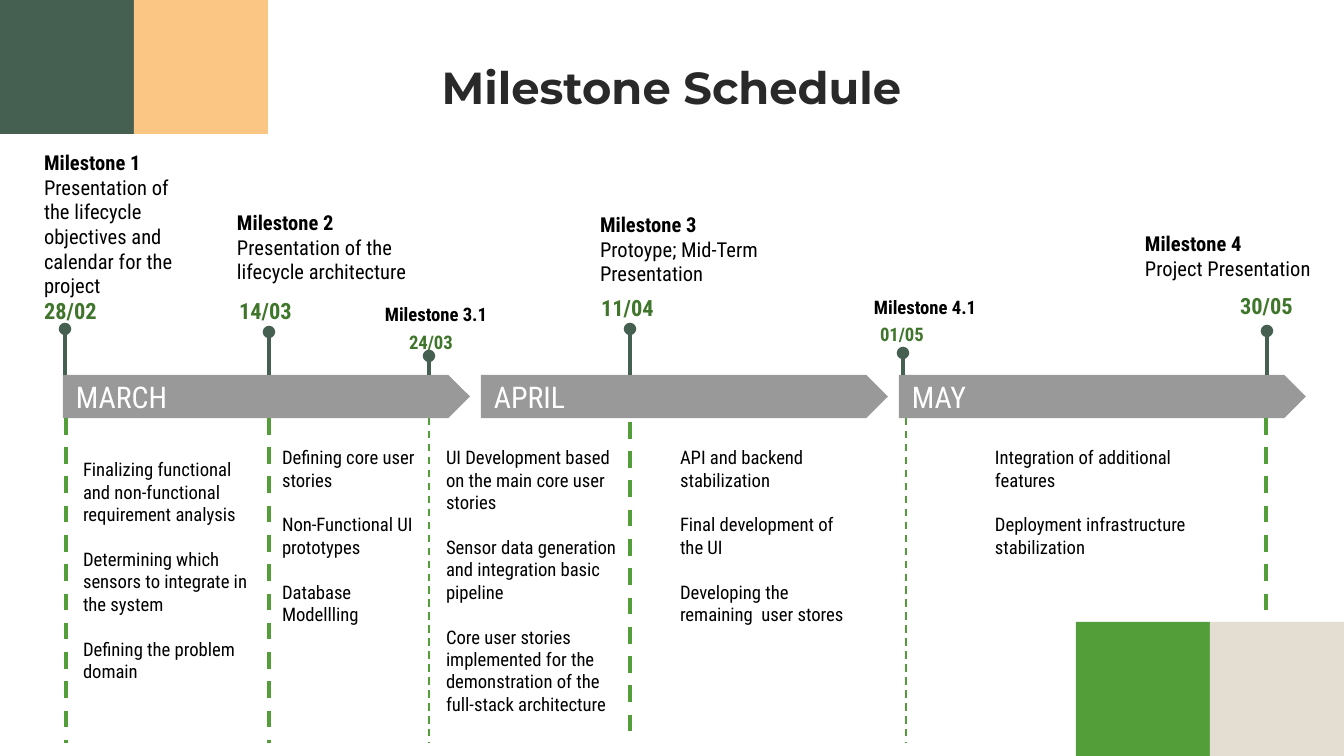
from dataclasses import dataclass
from typing import Optional

from lxml.etree import SubElement
from pptx import Presentation
from pptx.dml.color import RGBColor
from pptx.enum.dml import MSO_LINE
from pptx.enum.shapes import MSO_CONNECTOR, MSO_SHAPE
from pptx.enum.text import MSO_ANCHOR, PP_ALIGN
from pptx.oxml.ns import qn
from pptx.util import Emu, Inches, Pt

PAGE_WIDTH, PAGE_HEIGHT = 1344, 756
SCALE = Inches(10) / PAGE_WIDTH

DARK_GREEN = RGBColor(0x45, 0x5F, 0x51)
GREEN = RGBColor(0x54, 0x9E, 0x39)
DATE_GREEN = RGBColor(0x3F, 0x76, 0x2B)
ORANGE = RGBColor(0xFB, 0xC5, 0x83)
BEIGE = RGBColor(0xE3, 0xDE, 0xD1)
GRAY = RGBColor(0x99, 0x99, 0x99)
CHARCOAL = RGBColor(0x2A, 0x29, 0x29)
BLACK = RGBColor(0, 0, 0)
WHITE = RGBColor(0xFF, 0xFF, 0xFF)

TITLE_FONT = "Montserrat"
BODY_FONT = "Roboto Condensed"
SQUARE = 134
INSET = 13
BAR_TOP, BAR_WIDTH, BAR_HEIGHT = 375, 407, 43
BAR_LEFT, BAR_PITCH = 63, 418


@dataclass
class Milestone:
    name: str
    description: Optional[str]
    left: int
    top: int
    width: int
    date: str
    date_left: int
    date_top: int
    stem_x: int
    stem_top: int
    guide_x: int
    guide_top: int = 418
    guide_bottom: int = 743

    @property
    def is_major(self) -> bool:
        return self.description is not None


@dataclass
class TaskList:
    left: int
    top: int
    width: int
    height: int
    tasks: list[str]


SQUARES = [
    (0, 0, DARK_GREEN),
    (SQUARE, 0, ORANGE),
    (PAGE_WIDTH - 2 * SQUARE, PAGE_HEIGHT - SQUARE, GREEN),
    (PAGE_WIDTH - SQUARE, PAGE_HEIGHT - SQUARE, BEIGE),
]

MILESTONES = [
    Milestone("Milestone 1",
              "Presentation of the lifecycle objectives and calendar for the project",
              31, 150, 179, "28/02", 31, 297, 65, 329, 66),
    Milestone("Milestone 2", "Presentation of the lifecycle architecture",
              224, 210, 204, "14/03", 226, 297, 269, 332, 269),
    Milestone("Milestone 3.1", None,
              372, 303, 133, "24/03", 396, 331, 429, 356, 429),
    Milestone("Milestone 3", "Protoype; Mid-Term Presentation",
              587, 212, 270, "11/04", 588, 294, 630, 329, 630, guide_top=422),
    Milestone("Milestone 4.1", None,
              861, 296, 133, "01/05", 867, 323, 903, 353, 906),
    Milestone("Milestone 4", "Project Presentation",
              1132, 231, 210, "30/05", 1227, 292, 1267, 331, 1266, guide_bottom=618),
]

# A line break inside a task starts a new line without extra spacing.
TASK_LISTS = [
    TaskList(70, 458, 204, 224, [
        "Finalizing functional and non-functional requirement analysis",
        "Determining which sensors to integrate in the system",
        "Defining the problem domain"]),
    TaskList(269, 446, 204, 180, [
        "Defining core user stories",
        "Non-Functional UI prototypes",
        "Database\vModellling"]),
    TaskList(433, 446, 204, 270, [
        "UI Development based on the main core user stories",
        "Sensor data generation and integration basic pipeline",
        "Core user stories implemented for the demonstration of the full-stack architecture"]),
    TaskList(667, 446, 204, 180, [
        "API and backend stabilization",
        "Final development of the UI",
        "Developing the remaining  user stores"]),
    TaskList(982, 446, 242, 112, [
        "Integration of additional features",
        "Deployment infrastructure stabilization"]),
]


def px(value: int) -> Emu:
    return Emu(round(value * SCALE))


def style(paragraph, size: int, color: RGBColor, bold: bool = False,
          font: str = BODY_FONT) -> None:
    for span in paragraph.runs:
        span.font.name = font
        span.font.size = Pt(size)
        span.font.bold = bold
        span.font.color.rgb = color


def add_block(page, kind, left: int, top: int, width: int, height: int, color: RGBColor):
    block = page.shapes.add_shape(kind, px(left), px(top), px(width), px(height))
    block.shadow.inherit = False
    block.fill.solid()
    block.fill.fore_color.rgb = color
    block.line.fill.background()
    return block


def add_text(page, left: int, top: int, width: int, height: int, lines: list[str],
             size: int, color: RGBColor = BLACK, bold: bool = False, gap: int = 0):
    """Add a top-anchored box with one paragraph per line, gap points apart."""
    box = page.shapes.add_textbox(px(left), px(top), px(width), px(height))
    frame = box.text_frame
    frame.word_wrap = True
    frame.vertical_anchor = MSO_ANCHOR.TOP
    frame.margin_left = frame.margin_right = px(INSET)
    frame.margin_top = frame.margin_bottom = 0
    frame.text = "\n".join(lines)
    for index, paragraph in enumerate(frame.paragraphs):
        if index and gap:
            paragraph.space_before = Pt(gap)
        style(paragraph, size, color, bold)
    return box


def add_line(page, x: int, start: int, end: int, color: RGBColor, weight: float):
    line = page.shapes.add_connector(MSO_CONNECTOR.STRAIGHT, px(x), px(start), px(x), px(end))
    line.line.color.rgb = color
    line.line.width = Pt(weight)
    SubElement(line.element.spPr, qn("a:effectLst"))
    return line


def add_title(page, text: str) -> None:
    title = page.shapes.title
    title.left, title.top, title.width, title.height = px(329), px(44), px(685), px(85)
    title.text_frame.text = text
    title.text_frame.vertical_anchor = MSO_ANCHOR.MIDDLE
    paragraph = title.text_frame.paragraphs[0]
    paragraph.alignment = PP_ALIGN.CENTER
    style(paragraph, 24, CHARCOAL, True, TITLE_FONT)


def add_month(page, index: int, name: str) -> None:
    bar = add_block(page, MSO_SHAPE.PENTAGON, BAR_LEFT + index * BAR_PITCH, BAR_TOP,
                    BAR_WIDTH, BAR_HEIGHT, GRAY)
    frame = bar.text_frame
    frame.text = name
    frame.margin_left = px(INSET)
    frame.margin_top = frame.margin_bottom = 0
    frame.vertical_anchor = MSO_ANCHOR.MIDDLE
    frame.paragraphs[0].alignment = PP_ALIGN.LEFT
    style(frame.paragraphs[0], 16, WHITE)


def add_milestone(page, item: Milestone) -> None:
    lines = [item.name, item.description] if item.is_major else [item.name]
    label = add_text(page, item.left, item.top, item.width, item.date_top - item.top,
                     lines, 11 if item.is_major else 10)
    label.text_frame.paragraphs[0].runs[0].font.bold = True
    add_text(page, item.date_left, item.date_top, 86, 27 if item.is_major else 22,
             [item.date], 12 if item.is_major else 10, DATE_GREEN, True)

    stem = add_line(page, item.stem_x, BAR_TOP, item.stem_top, DARK_GREEN, 2.25)
    SubElement(stem.line._get_or_add_ln(), qn("a:tailEnd"), type="oval")
    guide = add_line(page, item.guide_x, item.guide_top, item.guide_bottom, GREEN,
                     2.25 if item.is_major else 1)
    guide.line.dash_style = MSO_LINE.DASH


def main() -> None:
    deck = Presentation()
    deck.slide_width, deck.slide_height = px(PAGE_WIDTH), px(PAGE_HEIGHT)
    page = deck.slides.add_slide(deck.slide_layouts[5])
    for left, top, color in SQUARES:
        add_block(page, MSO_SHAPE.RECTANGLE, left, top, SQUARE, SQUARE, color)
    add_title(page, "Milestone Schedule")
    for index, name in enumerate(["MARCH", "APRIL", "MAY"]):
        add_month(page, index, name)
    for item in MILESTONES:
        add_milestone(page, item)
    for group in TASK_LISTS:
        add_text(page, group.left, group.top, group.width, group.height, group.tasks, 10, gap=12)
    deck.save("out.pptx")


if __name__ == "__main__":
    main()
